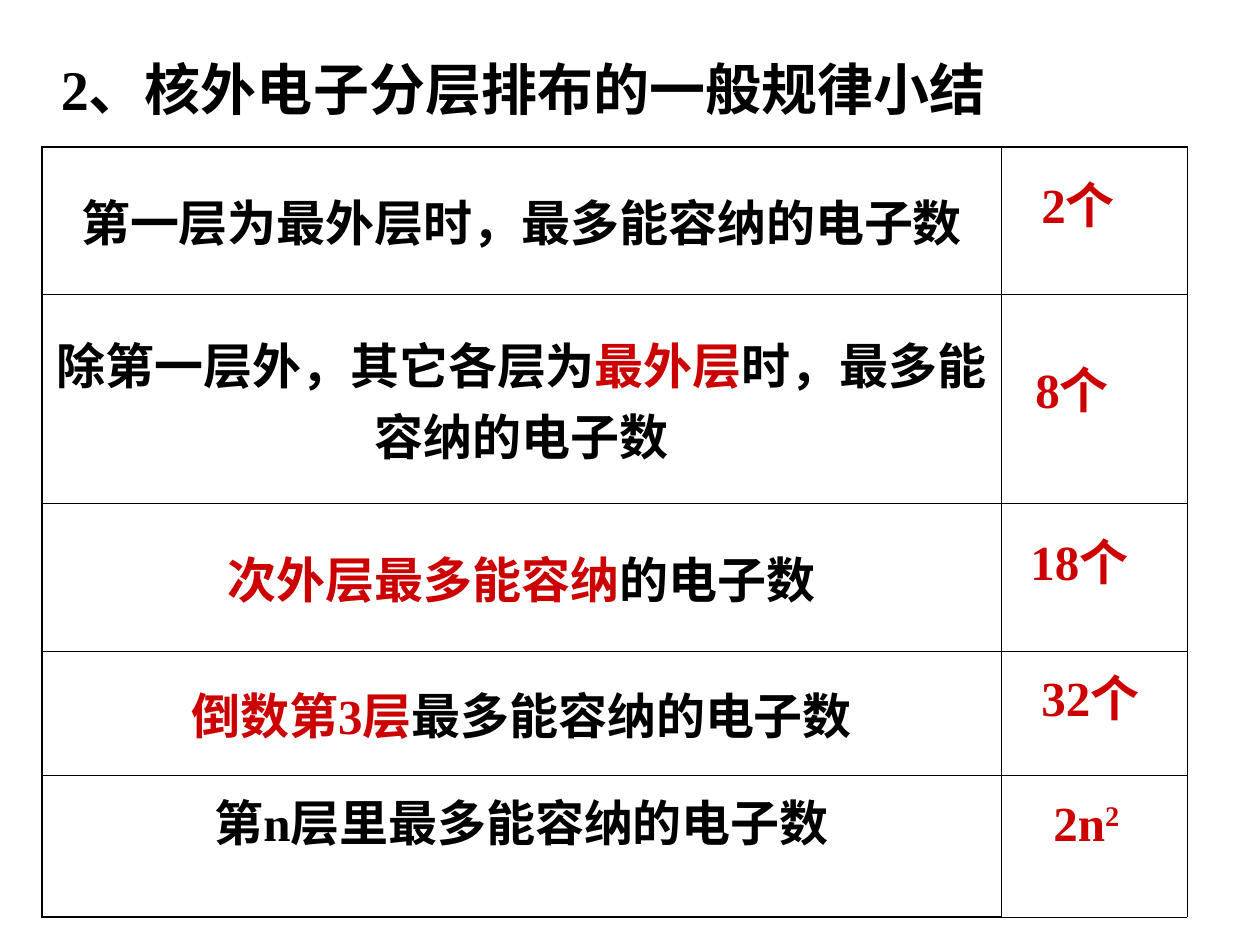
"""Build a slide summarising how electrons fill the shells of an atom."""
from dataclasses import dataclass

from lxml import etree
from pptx import Presentation
from pptx import util as u
from pptx.dml.color import RGBColor
from pptx.enum import text
from pptx.enum.lang import MSO_LANGUAGE_ID
from pptx.oxml.ns import qn

SCALE = 914400 / 126


@dataclass(frozen=True)
class Theme:
    font: str = "Times New Roman"
    ink: str = "000000"
    accent: str = "CC0000"
    title_pt: int = 32
    body_pt: int = 28
    thin_pt: float = 0.45
    thick_pt: float = 1.08


@dataclass(frozen=True)
class Span:
    text: str
    color: str
    superscript: bool = False


@dataclass(frozen=True)
class Rule:
    height: int
    spans: tuple[Span, ...]
    top_margin: int | None = None


@dataclass(frozen=True)
class Answer:
    left: int
    top: int
    width: int
    spans: tuple[Span, ...]
    wrap: bool = True


THEME = Theme()


def px(value: int) -> u.Emu:
    return u.Emu(round(value * SCALE))


def ink(words: str) -> Span:
    return Span(words, THEME.ink)


def red(words: str, superscript: bool = False) -> Span:
    return Span(words, THEME.accent, superscript)


TITLE = "2、核外电子分层排布的一般规律小结"
COLUMNS = (959, 186)
RULES = (
    Rule(147, (ink("第一层为最外层时，最多能容纳的电子数"),)),
    Rule(209, (ink("除第一层外，其它各层为"), red("最外层"),
               ink("时，最多能容纳的电子数"))),
    Rule(148, (red("次外层最多能容纳"), ink("的电子数"))),
    Rule(124, (red("倒数第3层"), ink("最多能容纳的电子数"))),
    Rule(142, (ink("第n层里最多能容纳的电子数"),), top_margin=10),
)
ANSWERS = (
    Answer(1029, 168, 147, (red("2个"),)),
    Answer(1023, 353, 110, (red("8个"),), wrap=False),
    Answer(1018, 525, 147, (red("18个"),)),
    Answer(1029, 661, 168, (red("32个"),)),
    Answer(1041, 786, 168, (red("2n"), red("2", superscript=True))),
)


def write(p, spans: tuple[Span, ...], size: int, align) -> None:
    p.alignment = align
    for span in spans:
        r = p.add_run()
        r.text = span.text
        style = {"name": THEME.font, "size": u.Pt(size), "bold": True,
                 "language_id": MSO_LANGUAGE_ID.SIMPLIFIED_CHINESE}
        for name, value in style.items():
            setattr(r.font, name, value)
        r.font.color.rgb = RGBColor.from_string(span.color)
        if span.superscript:
            r._r.get_or_add_rPr().set("baseline", "30000")


def set_borders(cell, widths: dict[str, float]) -> None:
    tc_pr = cell._tc.get_or_add_tcPr()
    for side, width in widths.items():
        ln = etree.SubElement(tc_pr, qn(f"a:ln{side}"), w=str(u.Pt(width)))
        fill = etree.SubElement(ln, qn("a:solidFill"))
        etree.SubElement(fill, qn("a:srgbClr"), val=THEME.ink)


def draw_title(slide) -> None:
    sp = slide.shapes.title
    box = {"left": px(39), "top": px(48), "width": px(969), "height": px(81)}
    for name, value in box.items():
        setattr(sp, name, value)
    tf = sp.text_frame
    tf.auto_size = text.MSO_AUTO_SIZE.SHAPE_TO_FIT_TEXT
    tf.vertical_anchor = text.MSO_ANCHOR.TOP
    write(tf.paragraphs[0], (ink(TITLE),), THEME.title_pt, text.PP_ALIGN.CENTER)


def draw_rules(slide) -> None:
    heights = [rule.height for rule in RULES]
    frame = slide.shapes.add_table(len(RULES), len(COLUMNS), px(42), px(147),
                                   px(sum(COLUMNS)), px(sum(heights)))
    table = frame.table
    table.first_row = table.horz_banding = False
    for column, width in zip(table.columns, COLUMNS):
        column.width = px(width)
    for i, (row, rule) in enumerate(zip(table.rows, RULES)):
        row.height = px(rule.height)
        for j, cell in enumerate(row.cells):
            last_left = i == len(RULES) - 1 and j == 0
            thick = {"L": j == 0, "R": False, "T": i == 0, "B": last_left}
            set_borders(cell, {side: THEME.thick_pt if on else THEME.thin_pt
                               for side, on in thick.items()})
            cell.fill.background()
        cell = row.cells[0]
        cell.vertical_anchor = text.MSO_ANCHOR.MIDDLE
        if rule.top_margin is not None:
            cell.vertical_anchor = text.MSO_ANCHOR.TOP
            cell.margin_top = px(rule.top_margin)
        write(cell.text_frame.paragraphs[0], rule.spans, THEME.body_pt,
              text.PP_ALIGN.CENTER)


def draw_answer(slide, answer: Answer) -> None:
    sp = slide.shapes.add_textbox(px(answer.left), px(answer.top),
                                  px(answer.width), px(72))
    tf = sp.text_frame
    tf.word_wrap = answer.wrap
    tf.auto_size = text.MSO_AUTO_SIZE.SHAPE_TO_FIT_TEXT
    write(tf.paragraphs[0], answer.spans, THEME.body_pt, text.PP_ALIGN.LEFT)


def main() -> None:
    prs = Presentation()
    prs.slide_width, prs.slide_height = px(1260), px(945)
    slide = prs.slides.add_slide(prs.slide_layouts[5])
    draw_title(slide)
    draw_rules(slide)
    for answer in ANSWERS:
        draw_answer(slide, answer)
    prs.save("out.pptx")


if __name__ == "__main__":
    main()
